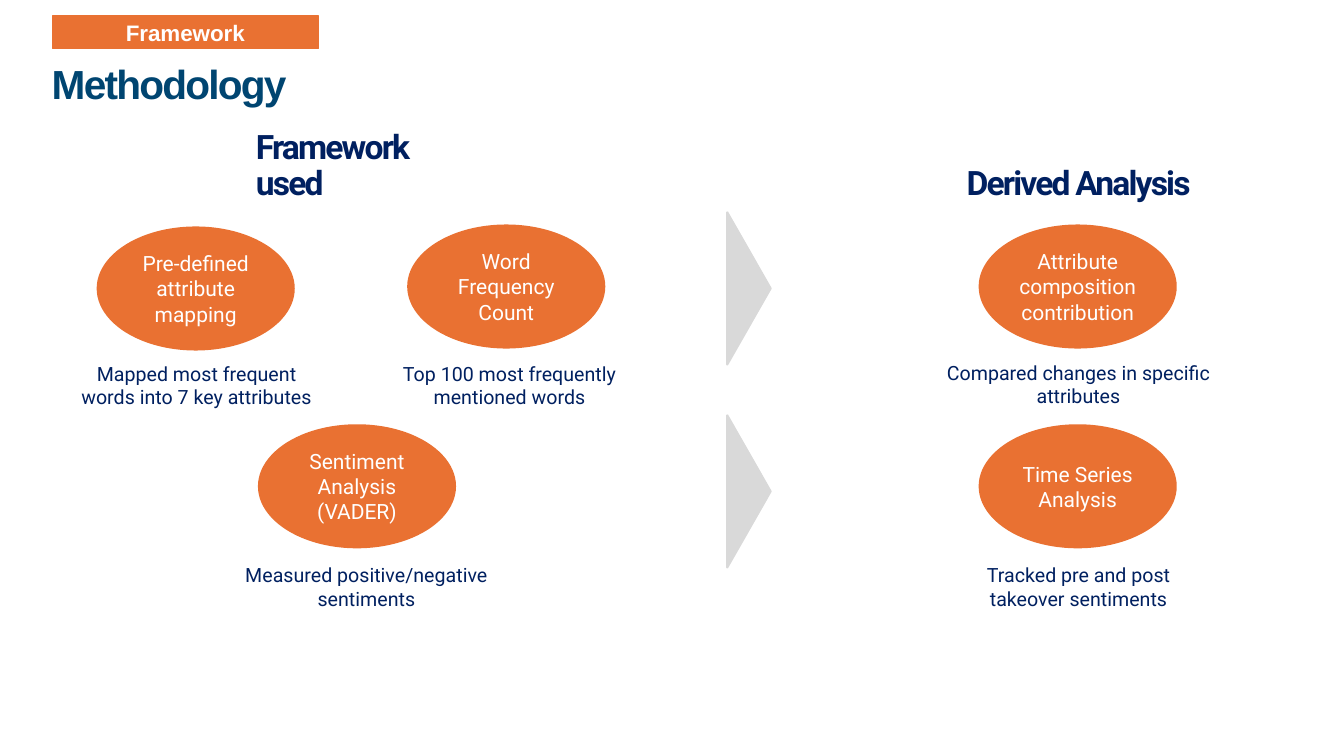
import dataclasses

import pptx
import pptx.dml.color
import pptx.enum.shapes
import pptx.enum.text
import pptx.util

Pt = pptx.util.Pt
Shape = pptx.enum.shapes.MSO_SHAPE
Align = pptx.enum.text.PP_ALIGN
Anchor = pptx.enum.text.MSO_ANCHOR


@dataclasses.dataclass(frozen=True)
class Theme:
    orange: str = "E97132"
    teal: str = "004571"
    navy: str = "002060"
    grey: str = "D9D9D9"
    white: str = "FFFFFF"
    title_font: str = "Arial"
    body_font: str = "Roboto"
    tag_size: float = 16
    title_size: float = 29
    heading_size: float = 24
    step_size: float = 15
    caption_size: float = 14
    tracking: float = -1.3


class SlideBuilder:
    def __init__(self, slide, theme):
        self.slide = slide
        self.theme = theme

    def set_text(self, frame, text, font, size, color, bold=False, align=Align.CENTER):
        frame.word_wrap = True
        frame.text = text
        for paragraph in frame.paragraphs:
            paragraph.alignment = align
            paragraph.font.name = font
            paragraph.font.size = Pt(size)
            paragraph.font.bold = bold
            paragraph.font.color.rgb = pptx.dml.color.RGBColor.from_string(color)

    def solid(self, kind, box, color, line_width=1.5):
        shape = self.slide.shapes.add_shape(kind, *map(Pt, box))
        shape.shadow.inherit = False
        rgb = pptx.dml.color.RGBColor.from_string(color)
        shape.fill.solid()
        shape.fill.fore_color.rgb = rgb
        shape.line.color.rgb = rgb
        shape.line.width = Pt(line_width)
        shape.text_frame.vertical_anchor = Anchor.MIDDLE
        return shape

    def tag(self, box, text):
        theme = self.theme
        banner = self.solid(Shape.RECTANGLE, box, theme.orange, 1)
        self.set_text(banner.text_frame, text, theme.title_font, theme.tag_size, theme.white, True)

    def tight_text(self, box, text, font, size, color):
        frame = self.slide.shapes.add_textbox(*map(Pt, box)).text_frame
        self.set_text(frame, text, font, size, color, True, Align.LEFT)
        paragraph = frame.paragraphs[0]
        paragraph.line_spacing = 0.9
        spacing = str(round(self.theme.tracking * 100))
        paragraph.runs[0]._r.get_or_add_rPr().set("spc", spacing)
        return frame

    def title(self, box, text):
        theme = self.theme
        frame = self.tight_text(box, text, theme.title_font, theme.title_size, theme.teal)
        frame.margin_left = frame.margin_right = frame.margin_top = frame.margin_bottom = 0

    def heading(self, left, width, text):
        theme = self.theme
        box = (left, 111.6, width, 36.7)
        frame = self.tight_text(box, text, theme.body_font, theme.heading_size, theme.navy)
        frame.vertical_anchor = Anchor.BOTTOM
        frame.paragraphs[0].space_after = Pt(6)

    def step(self, left, top, text):
        theme = self.theme
        oval = self.solid(Shape.OVAL, (left, top, 140, 87.1), theme.orange)
        self.set_text(oval.text_frame, text, theme.body_font, theme.step_size, theme.white)

    def caption(self, left, top, width, text):
        theme = self.theme
        frame = self.slide.shapes.add_textbox(Pt(left), Pt(top), Pt(width), Pt(41)).text_frame
        self.set_text(frame, text, theme.body_font, theme.caption_size, theme.navy)

    def pointer(self, left, top):
        triangle = self.solid(Shape.ISOSCELES_TRIANGLE, (left, top, 108.7, 31), self.theme.grey)
        triangle.rotation = 90


def main():
    deck = pptx.Presentation()
    deck.slide_width, deck.slide_height = Pt(960), Pt(540)
    builder = SlideBuilder(deck.slides.add_slide(deck.slide_layouts[6]), Theme())

    builder.tag((37.4, 11.5, 190.1, 23), "Framework")
    builder.title((37, 46, 756, 26.6), "Methodology")
    builder.heading(175.7, 172.8, "Framework used")
    builder.heading(683.3, 174.2, "Derived Analysis")

    upper, lower = 161.1, 303.8
    steps = [
        (69.8, 162.5, "Pre-defined attribute mapping"),
        (291.6, upper, "Word Frequency\nCount"),
        (185, lower, "Sentiment Analysis (VADER)"),
        (699.8, upper, "Attribute composition contribution"),
        (699.8, lower, "Time Series Analysis"),
    ]
    for step in steps:
        builder.step(*step)

    captions = [
        (49, 254.9, 182.9, "Mapped most frequent words into 7 key attributes"),
        (276.5, 254.9, 175, "Top 100 most frequently mentioned words"),
        (139.7, 398.9, 244.1, "Measured positive/negative sentiments"),
        (651.6, 254.2, 237.6, "Compared changes in specific attributes"),
        (671.8, 398.9, 197.3, "Tracked pre and post takeover sentiments"),
    ]
    for caption in captions:
        builder.caption(*caption)

    for top in (190.5, 335.5):
        builder.pointer(480.6, top)

    deck.save("out.pptx")


if __name__ == "__main__":
    main()
